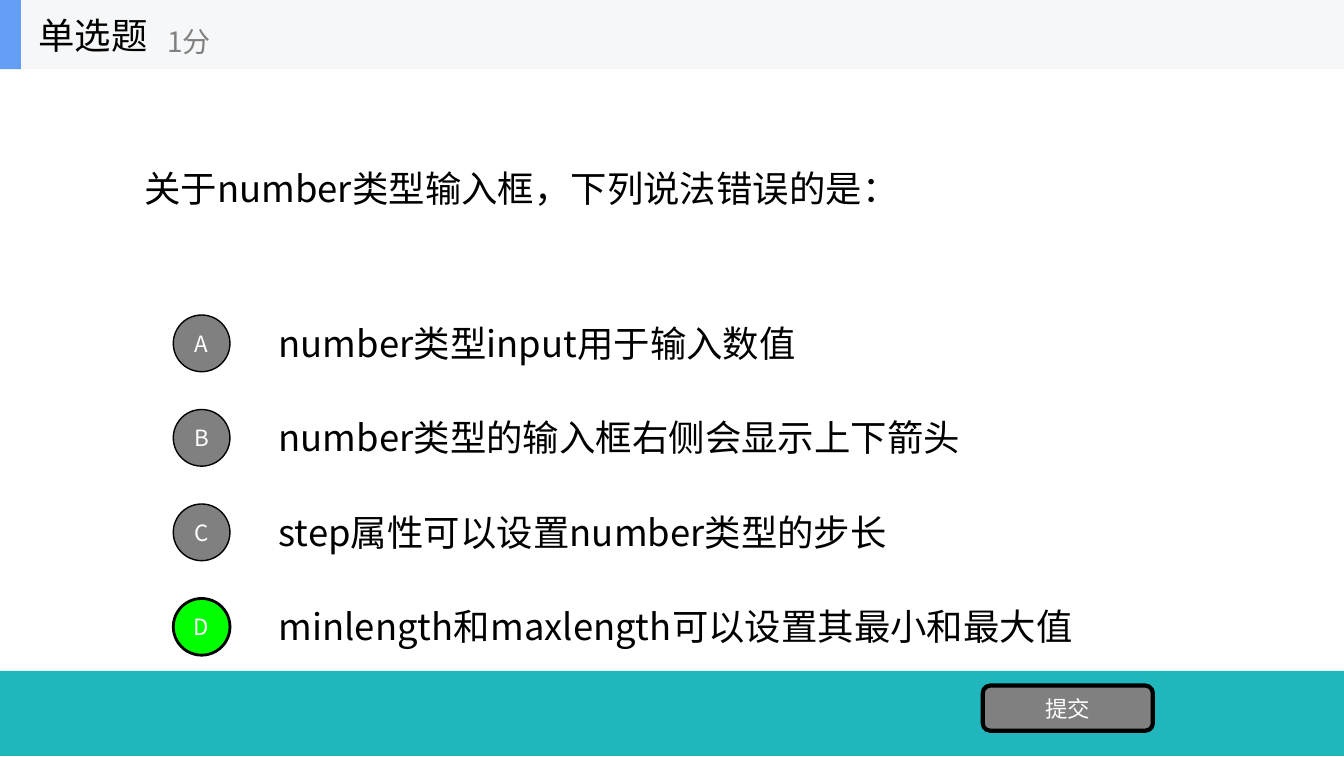
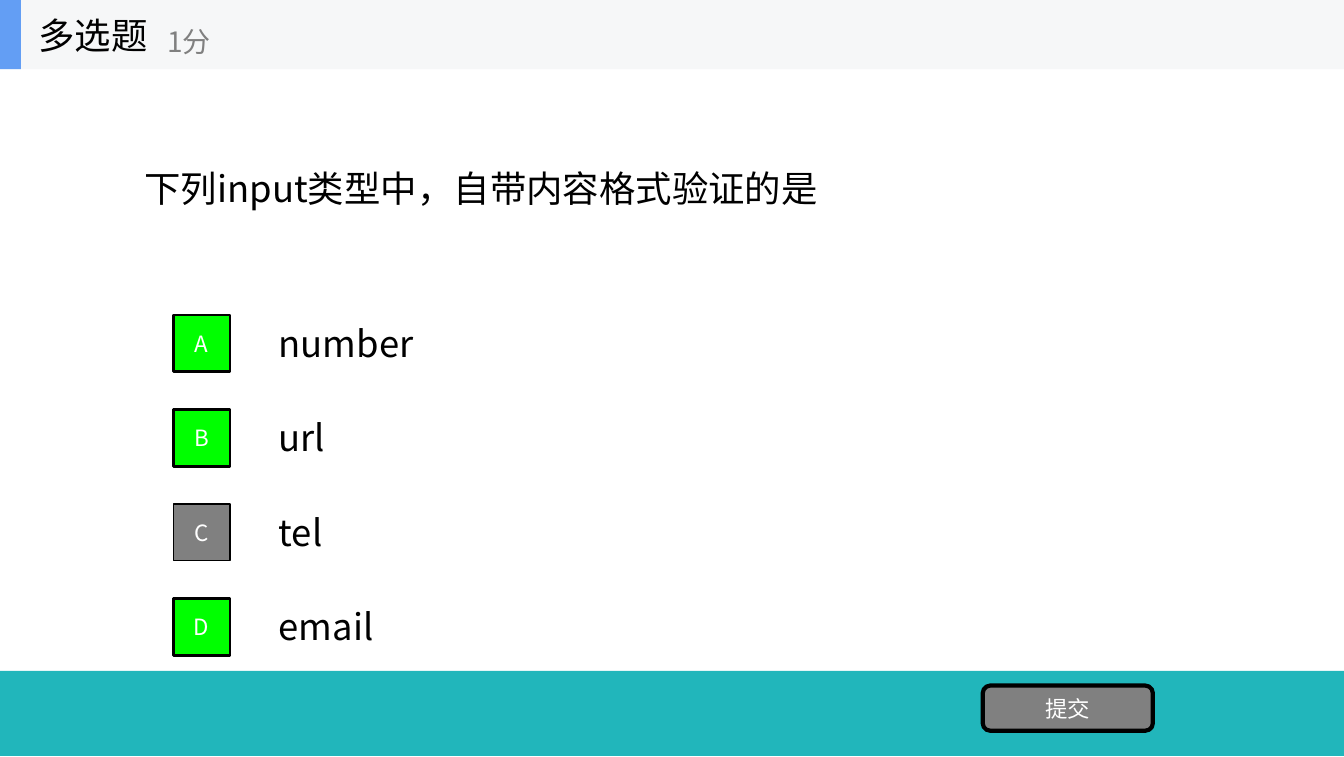
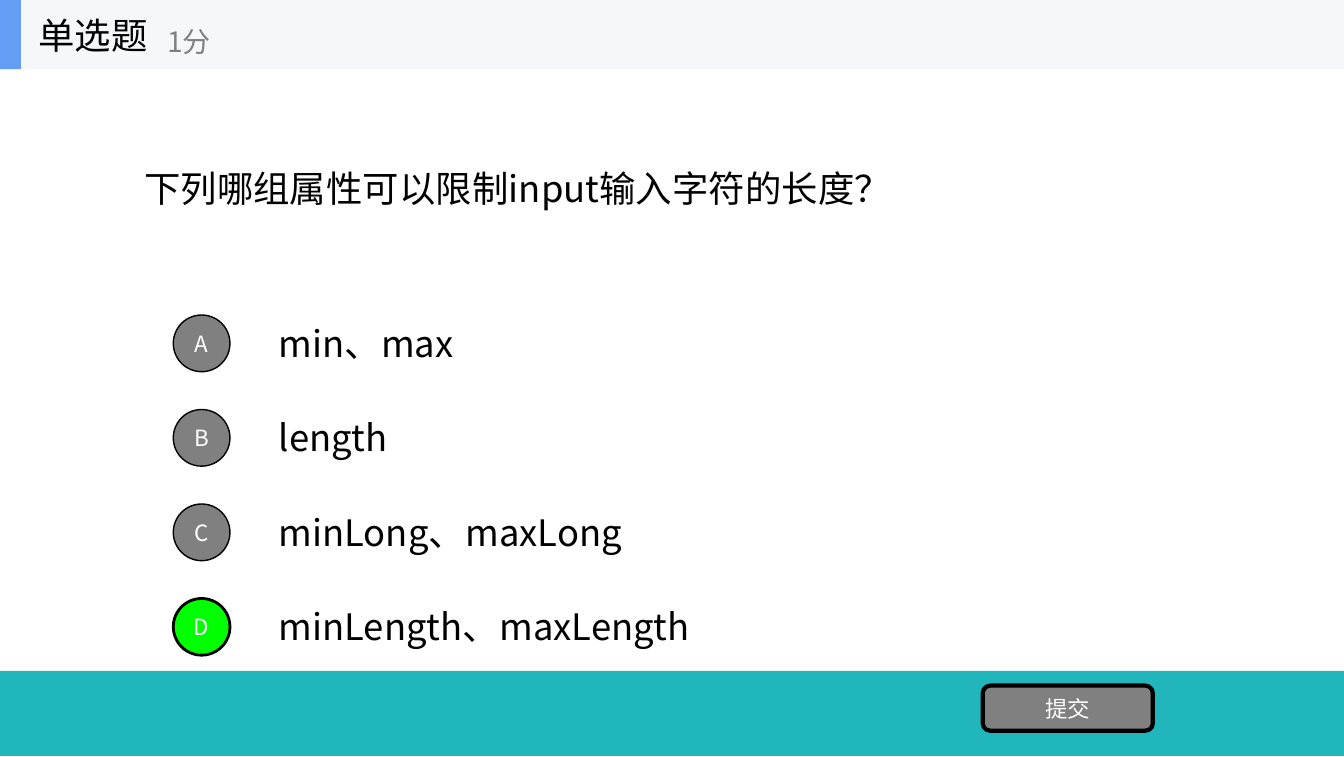
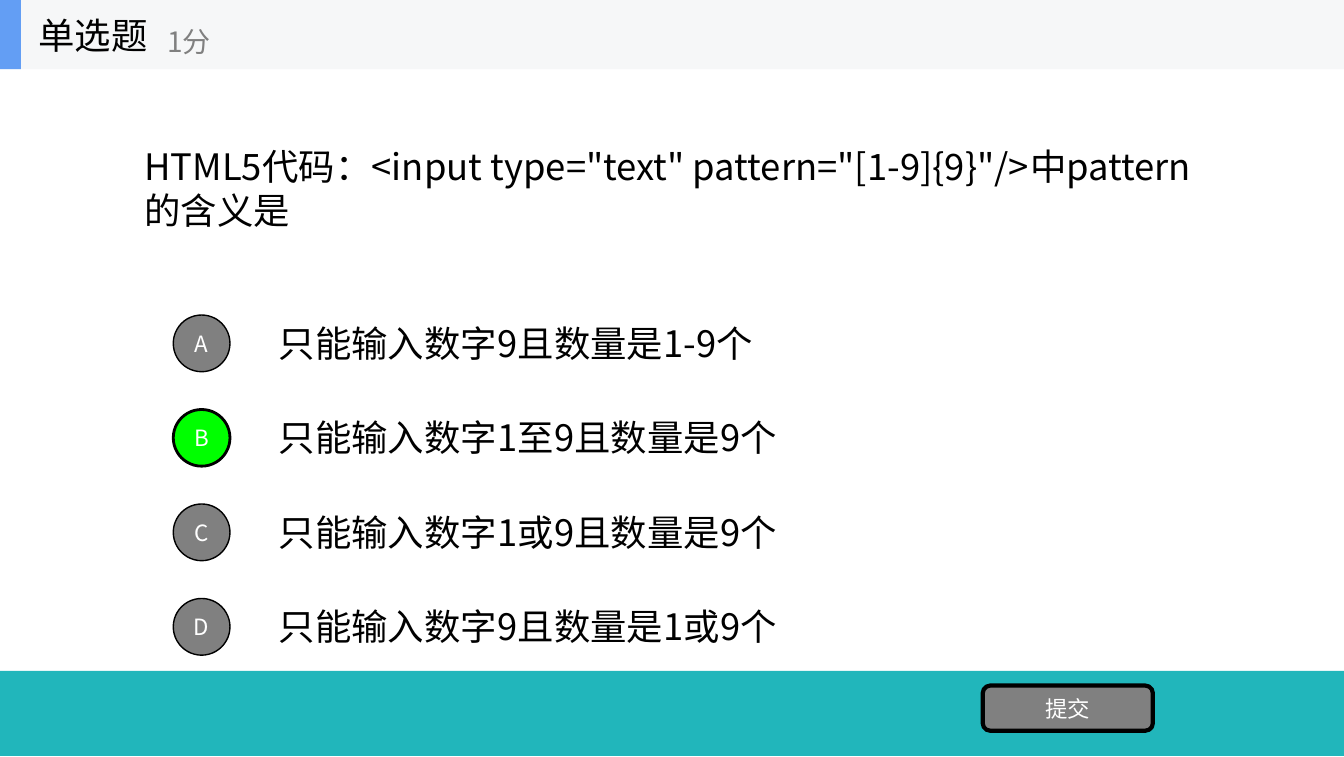
from pptx import Presentation
from pptx.dml.color import RGBColor
from pptx.enum.shapes import MSO_SHAPE
from pptx.enum.text import MSO_ANCHOR, PP_ALIGN
from pptx.oxml.ns import qn
from pptx.util import Emu, Pt
from lxml import etree

RECT = MSO_SHAPE.RECTANGLE
OVAL = MSO_SHAPE.OVAL
ROUND = MSO_SHAPE.ROUNDED_RECTANGLE
LEFT, MID = PP_ALIGN.LEFT, PP_ALIGN.CENTER
CENTER = MSO_ANCHOR.MIDDLE

PX = 9525
WIDE, HIGH = 1280, 721
HEAD = 66
TOP, STEP = 293, 90
FONT = "Noto Sans CJK SC"
COLORS = {
    "ink": "000000",
    "gray": "808080",
    "white": "FFFFFF",
    "right": "00FF00",
    "band": "F6F7F8",
    "accent": "639EF4",
    "foot": "21B6BB",
}

QUIZ = [
    ("关于number类型输入框，下列说法错误的是：", "D", [
        "number类型input用于输入数值",
        "number类型的输入框右侧会显示上下箭头",
        "step属性可以设置number类型的步长",
        "minlength和maxlength可以设置其最小和最大值",
    ]),
    ("下列input类型中，自带内容格式验证的是", "ABD", [
        "number", "url", "tel", "email",
    ]),
    ("下列哪组属性可以限制input输入字符的长度？", "D", [
        "min、max", "length", "minLong、maxLong", "minLength、maxLength",
    ]),
    ('HTML5代码：<input type="text" pattern="[1-9]{9}"/>中pattern的含义是', "B", [
        "只能输入数字9且数量是1-9个",
        "只能输入数字1至9且数量是9个",
        "只能输入数字1或9且数量是9个",
        "只能输入数字9且数量是1或9个",
    ]),
]


def color(name):
    return RGBColor.from_string(COLORS[name])


class Deck:
    def __init__(self):
        self.prs = Presentation()
        self.prs.slide_width = Emu(WIDE * PX)
        self.prs.slide_height = Emu(HIGH * PX)
        self.slide = None

    def start(self):
        self.slide = self.prs.slides.add_slide(self.prs.slide_layouts[6])

    def label(self, shape, text, size, ink, align):
        frame = shape.text_frame
        frame.word_wrap = True
        frame.vertical_anchor = CENTER
        para = frame.paragraphs[0]
        para.text = text
        para.alignment = align
        font = para.font
        font.size = Pt(size)
        font.name = FONT
        font.color.rgb = color(ink)
        props = para._p.pPr.find(qn("a:defRPr"))
        etree.SubElement(props, qn("a:ea")).set("typeface", FONT)

    def text(self, box, text, size=26, ink="ink"):
        shape = self.slide.shapes.add_textbox(*(Emu(n * PX) for n in box))
        self.label(shape, text, size, ink, LEFT)

    def block(self, kind, box, fill, line=0):
        shape = self.slide.shapes.add_shape(kind, *(Emu(n * PX) for n in box))
        shape.shadow.inherit = False
        shape.fill.solid()
        shape.fill.fore_color.rgb = color(fill)
        if line:
            shape.line.color.rgb = color("ink")
            shape.line.width = Pt(line)
        else:
            shape.line.fill.background()
        return shape

    def button(self, kind, box, text, fill, line):
        shape = self.block(kind, box, fill, line)
        self.label(shape, text, 16, "white", MID)

    def header(self, title):
        self.block(RECT, (0, 0, WIDE, HEAD), "band")
        self.block(RECT, (0, 0, 20, HEAD), "accent")
        self.text((27, 0, 200, HEAD), title)
        self.text((150, 12, 240, 54), "1分", 20, "gray")

    def footer(self):
        self.block(RECT, (0, 639, WIDE, 81), "foot")

    def quiz(self, ask, key, items):
        self.start()
        many = len(key) > 1
        self.footer()
        self.text((128, HEAD, 1024, 226), ask)
        for row, (mark, item) in enumerate(zip("ABCD", items)):
            top = TOP + row * STEP
            fill, line = ("right", 2) if mark in key else ("gray", 1)
            self.text((256, top, 896, 67), item)
            self.button(RECT if many else OVAL, (165, top + 7, 54, 54),
                        mark, fill, line)
        self.button(ROUND, (936, 653, 162, 43), "提交", "gray", 3)
        self.header("多选题" if many else "单选题")


def main():
    deck = Deck()
    for ask, key, items in QUIZ:
        deck.quiz(ask, key, items)
    deck.prs.save("out.pptx")


if __name__ == "__main__":
    main()
